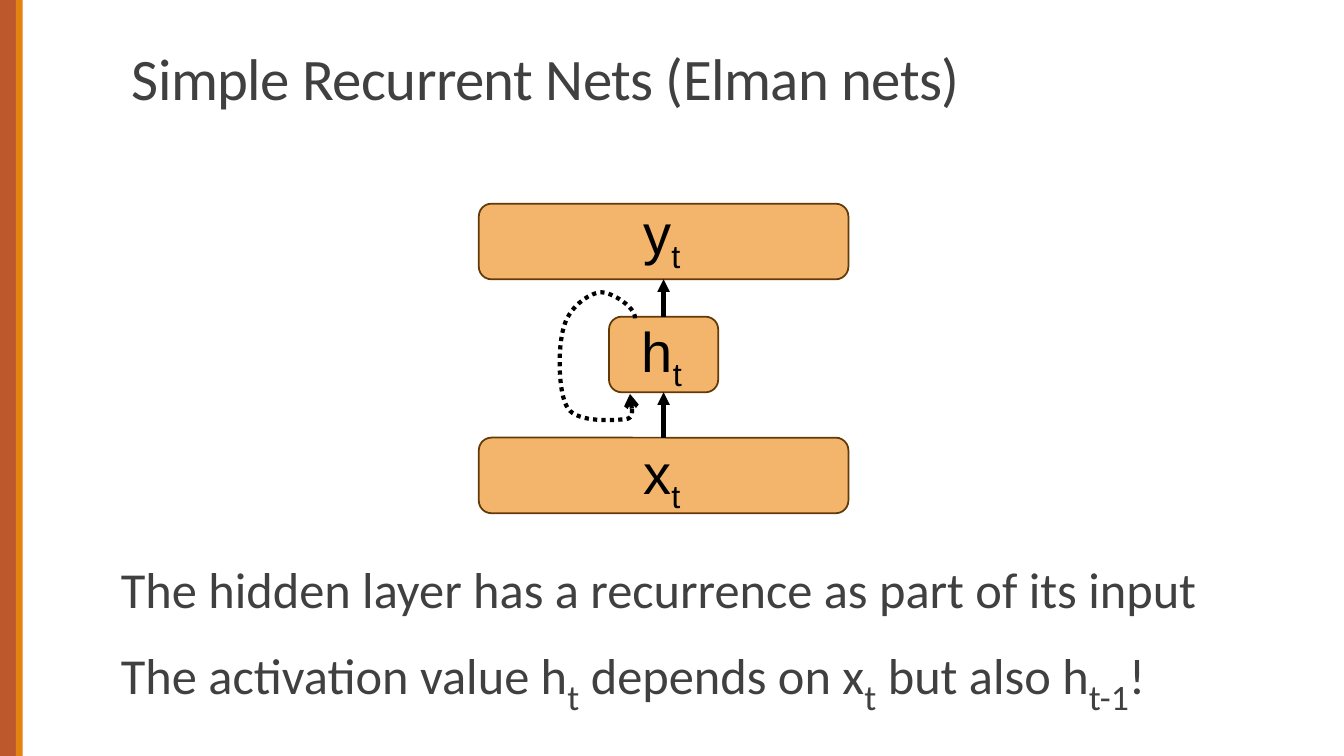
import pptx
import pptx.dml.color
import pptx.enum.dml
import pptx.enum.shapes
import pptx.enum.text
import pptx.oxml.ns
import pptx.util
from lxml import etree

# Grid of 160 columns by 90 rows, with square cells
COLUMNS, ROWS = 160, 90
SLIDE_WIDTH = pptx.util.Inches(13.33)
SLIDE_HEIGHT = pptx.util.Inches(7.5)

RUST, ORANGE = "BD582C", "E48312"
LAYER_FILL, LAYER_LINE = "F3B56C", "643908"
TEXT_GREY, BLACK = "404040", "000000"

LAYER_HEIGHT = 9
LAYER_CENTRE = 79
LABEL_CENTRE = 78.8
LABEL_WIDTH, LABEL_HEIGHT = 9, 9.2

# Recurrent loop: start point, then cubic curves (two controls and an end)
LOOP_START = (75.6, 37.9)
LOOP_CURVES = [
    ((75.7, 36.6), (72.8, 34.7), (71.4, 34.8)),
    ((70, 35), (67.7, 36.6), (67.1, 39)),
    ((66.4, 41.3), (66.4, 46.8), (67.6, 48.6)),
    ((68.8, 50.4), (73.2, 50), (74.5, 49.9)),
    ((75.8, 49.7), (75, 48.2), (75, 46.9)),
]
STEPS_PER_CURVE = 16


def color(hex_string):
    return pptx.dml.color.RGBColor.from_string(hex_string)


def column(count):
    return round(SLIDE_WIDTH * count / COLUMNS)


def row(count):
    return round(SLIDE_HEIGHT * count / ROWS)


def box(left, top, width, height):
    return column(left), row(top), column(width), row(height)


def add_stripe(slide, left, width, fill):
    shape = slide.shapes.add_shape(
        pptx.enum.shapes.MSO_SHAPE.RECTANGLE, *box(left, 0, width, ROWS))
    shape.shadow.inherit = False
    shape.fill.solid()
    shape.fill.fore_color.rgb = color(fill)
    shape.line.fill.background()


def add_run(paragraph, text, size, font, fill, subscript=False, spacing=None):
    run = paragraph.add_run()
    run.text = text
    run.font.size = pptx.util.Pt(size)
    run.font.name = font
    run.font.color.rgb = color(fill)
    properties = run.font._element
    if subscript:
        properties.set("baseline", "-25000")
    if spacing is not None:
        properties.set("spc", str(round(spacing * 100)))


def add_text_box(slide, left, top, width, height, wrap=True):
    text_box = slide.shapes.add_textbox(*box(left, top, width, height))
    text_box.text_frame.word_wrap = wrap
    return text_box.text_frame


def add_title(slide, text):
    frame = add_text_box(slide, 14.5, 2.1, 132, 11.9)
    frame.vertical_anchor = pptx.enum.text.MSO_ANCHOR.BOTTOM
    paragraph = frame.paragraphs[0]
    paragraph.line_spacing = 0.85
    add_run(paragraph, text, 42, "Calibri", TEXT_GREY, spacing=-0.4)


def add_layer(slide, letter, top, width, label_top):
    shape = slide.shapes.add_shape(
        pptx.enum.shapes.MSO_SHAPE.ROUNDED_RECTANGLE,
        *box(LAYER_CENTRE - width / 2, top, width, LAYER_HEIGHT))
    shape.shadow.inherit = False
    shape.fill.solid()
    shape.fill.fore_color.rgb = color(LAYER_FILL)
    shape.line.color.rgb = color(LAYER_LINE)
    shape.line.width = pptx.util.Pt(1.25)

    frame = add_text_box(slide, LABEL_CENTRE - LABEL_WIDTH / 2, label_top,
                         LABEL_WIDTH, LABEL_HEIGHT, wrap=False)
    paragraph = frame.paragraphs[0]
    paragraph.alignment = pptx.enum.text.PP_ALIGN.CENTER
    add_run(paragraph, letter, 40, "Arial", BLACK)
    add_run(paragraph, "t", 40, "Arial", BLACK, subscript=True)
    return shape


def style_arrow(shape, head, dash=None):
    shape.line.color.rgb = color(BLACK)
    shape.line.width = pptx.util.Pt(3)
    if dash is not None:
        shape.line.dash_style = dash
    qn = pptx.oxml.ns.qn
    line = shape._element.spPr.find(qn("a:ln"))
    etree.SubElement(line, qn("a:tailEnd")).set("type", head)


def add_arrow(slide, lower, upper):
    connector = slide.shapes.add_connector(
        pptx.enum.shapes.MSO_CONNECTOR.STRAIGHT, 0, 0, 0, 0)
    connector.begin_connect(lower, 0)
    connector.end_connect(upper, 2)
    style_arrow(connector, "triangle")
    etree.SubElement(connector._element.spPr, pptx.oxml.ns.qn("a:effectLst"))


def curve_point(points, t):
    weights = ((1 - t) ** 3, 3 * t * (1 - t) ** 2, 3 * t ** 2 * (1 - t), t ** 3)
    x, y = (sum(w * p[axis] for w, p in zip(weights, points)) for axis in (0, 1))
    return column(x), row(y)


def add_loop(slide):
    builder = slide.shapes.build_freeform(column(LOOP_START[0]), row(LOOP_START[1]))
    start = LOOP_START
    for curve in LOOP_CURVES:
        builder.add_line_segments(
            [curve_point((start, *curve), step / STEPS_PER_CURVE)
             for step in range(1, STEPS_PER_CURVE + 1)], close=False)
        start = curve[-1]
    loop = builder.convert_to_shape()
    loop.shadow.inherit = False
    loop.fill.background()
    style_arrow(loop, "arrow", pptx.enum.dml.MSO_LINE.ROUND_DOT)


def add_body(slide, lines):
    frame = add_text_box(slide, 14.4, 66.7, 130, 16.2)
    frame.margin_left = frame.margin_right = 0
    for index, parts in enumerate(lines):
        paragraph = frame.add_paragraph() if index else frame.paragraphs[0]
        paragraph.line_spacing = 0.9
        paragraph.space_before = pptx.util.Pt(9 if index else 0)
        paragraph.space_after = pptx.util.Pt(1.5)
        # Every second part is a subscript
        for position, text in enumerate(parts):
            subscript = position % 2 == 1
            add_run(paragraph, text, 44 if subscript else 36, "Calibri",
                    TEXT_GREY, subscript)


def main():
    presentation = pptx.Presentation()
    presentation.slide_width = SLIDE_WIDTH
    presentation.slide_height = SLIDE_HEIGHT
    slide = presentation.slides.add_slide(presentation.slide_layouts[6])

    # Left edge and title
    add_stripe(slide, 0, 1.9, RUST)
    add_stripe(slide, 1.9, 0.8, ORANGE)
    add_title(slide, "Simple Recurrent Nets (Elman nets)")

    # Network diagram
    input_layer = add_layer(slide, "x", 52.1, 44, 51.6)
    output_layer = add_layer(slide, "y", 24.25, 44, 23)
    hidden_layer = add_layer(slide, "h", 37.7, 13, 37.1)
    add_arrow(slide, input_layer, hidden_layer)
    add_arrow(slide, hidden_layer, output_layer)
    add_loop(slide)

    # Explanation
    add_body(slide, [
        ["The hidden layer has a recurrence as part of its input"],
        ["The activation value h", "t", " depends on x", "t",
         " but also h", "t-1", "!"],
    ])
    presentation.save("out.pptx")


if __name__ == "__main__":
    main()
